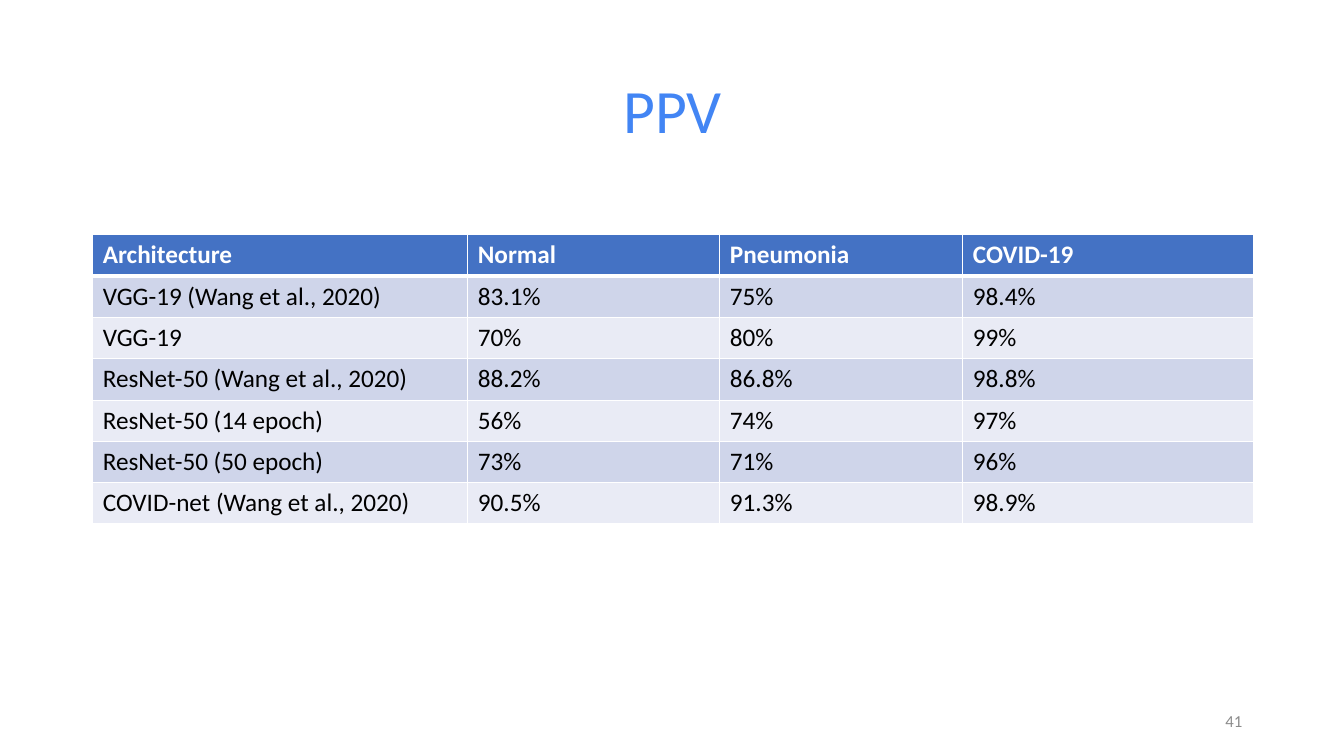
import pptx
import pptx.dml.color
import pptx.enum.text
import pptx.oxml
import pptx.oxml.ns
import pptx.util

WIDTH, HEIGHT = 13.33, 7.5
MARGIN = 0.92
CONTENT_WIDTH = 11.5
ROW_HEIGHT = 0.41
COLUMN_WIDTHS = [3.72, 2.5, 2.41, 2.88]
FONT = "Calibri"
HEADER_FILL = "4472C4"
BAND_FILLS = ["CFD5EA", "E9EBF5"]
WHITE, BLACK = "FFFFFF", "000000"

PPV_ROWS = [
    ["Architecture", "Normal", "Pneumonia", "COVID-19"],
    ["VGG-19 (Wang et al., 2020)", "83.1%", "75%", "98.4%"],
    ["VGG-19", "70%", "80%", "99%"],
    ["ResNet-50 (Wang et al., 2020)", "88.2%", "86.8%", "98.8%"],
    ["ResNet-50 (14 epoch)", "56%", "74%", "97%"],
    ["ResNet-50 (50 epoch)", "73%", "71%", "96%"],
    ["COVID-net (Wang et al., 2020)", "90.5%", "91.3%", "98.9%"],
]

ALIGN = pptx.enum.text.PP_ALIGN
MIDDLE = pptx.enum.text.MSO_ANCHOR.MIDDLE
inches = pptx.util.Inches


def color(value):
    return pptx.dml.color.RGBColor.from_string(value)


def write(frame, text, size, text_color, align=ALIGN.LEFT, bold=False):
    """Fill a text frame with one formatted paragraph."""
    frame.text = text
    para = frame.paragraphs[0]
    para.alignment = align
    para.font.name = FONT
    para.font.size = pptx.util.Pt(size)
    para.font.bold = bold
    para.font.color.rgb = color(text_color)
    return para


def add_border(cell, side, points):
    """Add a white line on one side of a table cell."""
    namespace = pptx.oxml.ns.nsdecls("a")
    line = pptx.oxml.parse_xml(
        f'<a:{side} {namespace} w="{pptx.util.Pt(points)}"><a:solidFill>'
        f'<a:srgbClr val="{WHITE}"/></a:solidFill></a:{side}>')
    cell._tc.get_or_add_tcPr().append(line)


def format_cell(cell, text, row):
    header = row == 0
    # The line under the header is thicker, on both cells that share it
    widths = {"lnL": 1, "lnR": 1, "lnT": 3 if row == 1 else 1,
              "lnB": 3 if header else 1}
    for side, points in widths.items():
        add_border(cell, side, points)
    cell.fill.solid()
    cell.fill.fore_color.rgb = color(
        HEADER_FILL if header else BAND_FILLS[(row - 1) % 2])
    write(cell.text_frame, text, 18, WHITE if header else BLACK, bold=header)


def add_title(page, text):
    title = page.shapes.title
    title.left, title.top = inches(MARGIN), inches(0.4)
    title.width, title.height = inches(CONTENT_WIDTH), inches(1.45)
    frame = title.text_frame
    frame.auto_size = pptx.enum.text.MSO_AUTO_SIZE.NONE
    frame.vertical_anchor = MIDDLE
    para = write(frame, text, 44, "4285F4", ALIGN.CENTER)
    para.line_spacing = 0.9


def add_ppv_table(page, rows):
    table = page.shapes.add_table(
        len(rows), len(COLUMN_WIDTHS), inches(MARGIN), inches(2.33),
        inches(CONTENT_WIDTH), inches(ROW_HEIGHT * len(rows))).table
    for column, width in zip(table.columns, COLUMN_WIDTHS):
        column.width = inches(width)
    for row, texts in enumerate(rows):
        for column, text in enumerate(texts):
            format_cell(table.cell(row, column), text, row)


def add_page_number(page, number):
    width = 3
    box = page.shapes.add_textbox(
        inches(MARGIN + CONTENT_WIDTH - width), inches(6.95),
        inches(width), inches(0.4))
    frame = box.text_frame
    frame.word_wrap = True
    frame.vertical_anchor = MIDDLE
    write(frame, number, 12, "8C8C8C", ALIGN.RIGHT)


def main():
    deck = pptx.Presentation()
    deck.slide_width, deck.slide_height = inches(WIDTH), inches(HEIGHT)
    # Title Only layout
    page = deck.slides.add_slide(deck.slide_layouts[5])
    add_title(page, "PPV")
    add_ppv_table(page, PPV_ROWS)
    add_page_number(page, "41")
    deck.save("out.pptx")


if __name__ == "__main__":
    main()
